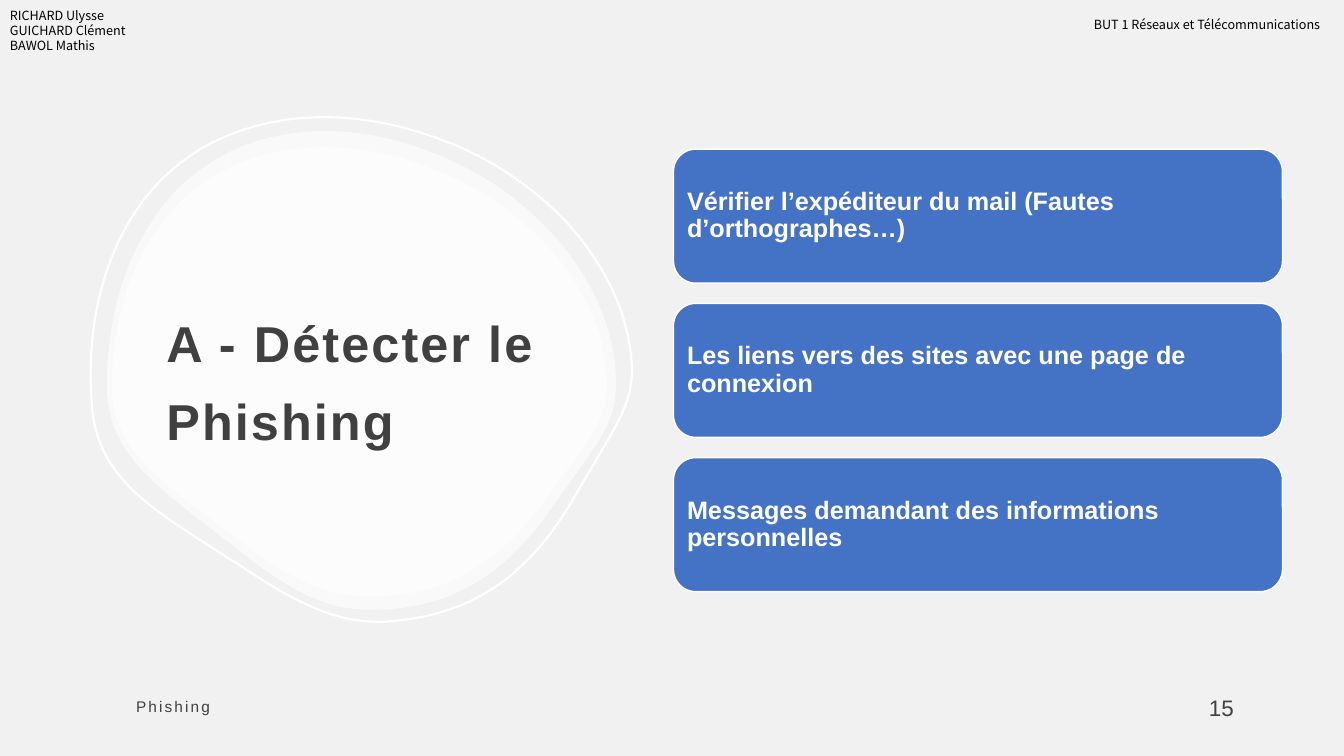
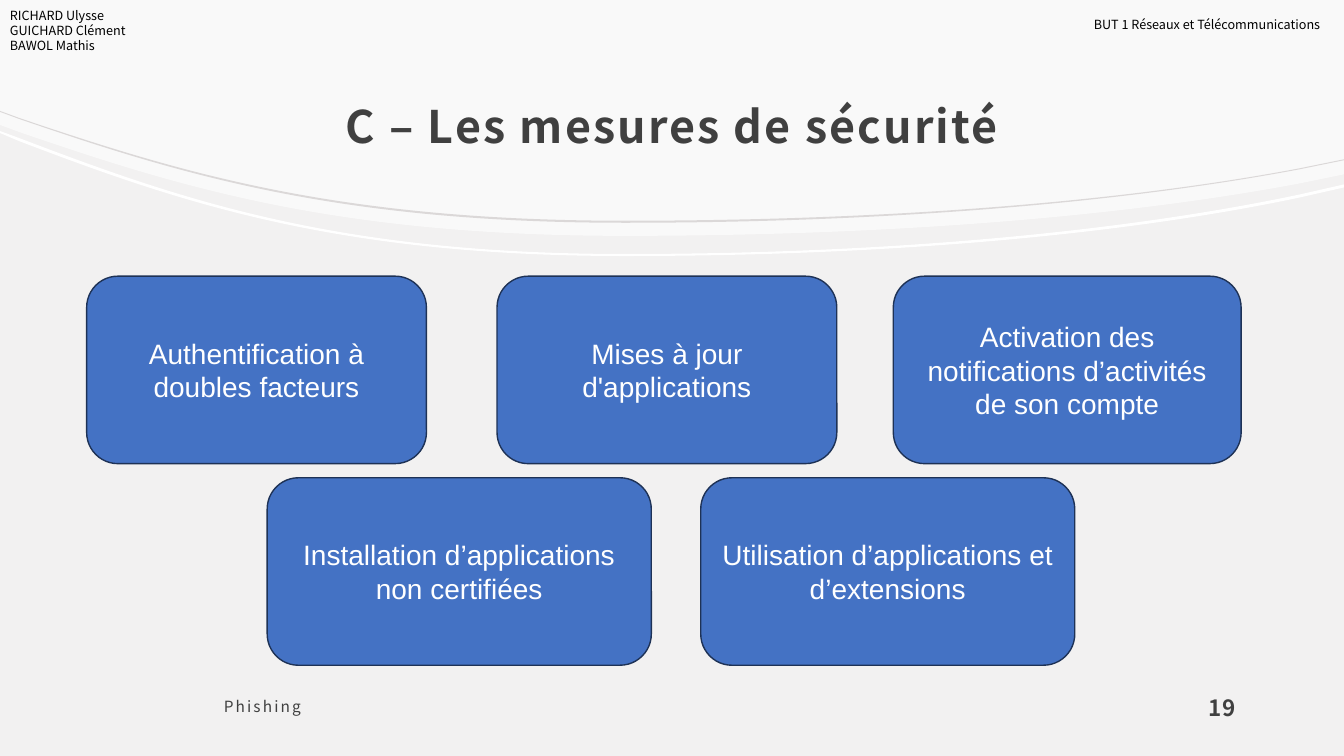
from lxml.etree import SubElement
from pptx import Presentation
from pptx.dml.color import RGBColor
from pptx.enum.shapes import MSO_SHAPE as Shape
from pptx.enum.text import MSO_ANCHOR as Anchor, PP_ALIGN as Align
from pptx.oxml.ns import qn
from pptx.util import Inches, Pt

WIDTH, HEIGHT = 13.33, 7.5
ARIAL, NOTO = "Arial", "Noto Sans CJK JP"
BACK, WHITE, BLACK, INK = "F2F1F1", "FFFFFF", "000000", "404040"
BLUE, NAVY, GREY = "4472C4", "1E3256", "DBD8D8"
INSETS = (0.12, 0.12, 0.12, 0.1)

AUTHORS = ["RICHARD Ulysse", "GUICHARD Clément", "BAWOL Mathis"]
COURSE = "BUT 1 Réseaux et Télécommunications"
FOOTER = "Phishing"

SIGNS = [
    "Vérifier l’expéditeur du mail (Fautes d’orthographes…)",
    "Les liens vers des sites avec une page de connexion",
    "Messages demandant des informations personnelles",
]
# row, left, width, text
MEASURES = [
    (0, 0.86, 3.37, "Authentification à doubles facteurs"),
    (0, 4.93, 3.37, "Mises à jour d'applications"),
    (0, 8.86, 3.45, "Activation des notifications d’activités de son compte"),
    (1, 2.65, 3.81, "Installation d’applications non certifiées"),
    (1, 6.95, 3.71, "Utilisation d’applications et d’extensions"),
]

# A start point, then two handles and an end point per curve
BLOB = [
    (3.22, 1.3), (2.89, 1.3), (2.58, 1.37), (2.31, 1.49),
    (2.06, 1.61), (1.83, 1.78), (1.65, 2), (1.27, 2.46), (1.06, 3.1), (1.06, 3.82),
    (1.06, 4.1), (1.14, 4.33), (1.32, 4.56), (1.51, 4.8), (1.8, 5.02), (2.1, 5.25),
    (2.15, 5.29), (2.21, 5.34), (2.27, 5.38), (2.78, 5.79), (3.16, 6.05), (3.67, 6.05),
    (4.45, 6.05), (5.01, 5.73), (5.52, 4.97), (5.59, 4.87), (5.66, 4.78), (5.72, 4.69),
    (5.98, 4.33), (6.11, 4.14), (6.11, 3.82), (6.11, 3.5), (6.03, 3.18), (5.87, 2.88),
    (5.72, 2.58), (5.5, 2.31), (5.22, 2.07), (4.95, 1.83), (4.62, 1.64), (4.28, 1.51),
    (3.93, 1.37), (3.57, 1.3), (3.22, 1.3),
]
BLOB_BOX = (1.06, 1.3, 5.05, 4.75)
INNER_BOX = (1.11, 1.46, 4.91, 4.46)
RING_BOX = (0.89, 1.13, 5.37, 5.05)

# Heights of a wave at its fixed stations, left to right
WAVE_X = (0, 0.19, 1.79, 3.33, 6.2, 8.75, 11.09, 12.89, WIDTH)
BAND = (1.24, 1.31, 1.86, 2.34, 2.34, 2.34, 2.16, 1.82, 1.73)
# colour, upper edge, lower edge
STRIPS = [
    (WHITE, (1.3, 1.37, 1.98, 2.52, 2.52, 2.52, 2.31, 1.93, 1.83),
     (1.32, 1.4, 2.01, 2.54, 2.54, 2.54, 2.34, 1.96, 1.86)),
    (GREY, (1.1, 1.17, 1.71, 2.19, 2.19, 2.19, 2.01, 1.67, 1.58),
     (1.11, 1.18, 1.73, 2.21, 2.21, 2.21, 2.02, 1.68, 1.59)),
]


def tint(hue):
    return RGBColor.from_string(hue)


def fit(box):
    """Move the blob from its own box to another."""
    left, top, wide, high = BLOB_BOX
    return [(box[0] + (x - left) / wide * box[2], box[1] + (y - top) / high * box[3])
            for x, y in BLOB]


def wave(heights):
    return list(zip(WAVE_X, heights))


def paint(shape, fill=None, line=None, weight=1, alpha=None):
    shape.shadow.inherit = False
    if fill:
        shape.fill.solid()
        shape.fill.fore_color.rgb = tint(fill)
        if alpha:
            hue = shape.fill._xPr.find(".//" + qn("a:srgbClr"))
            SubElement(hue, qn("a:alpha")).set("val", str(alpha * 1000))
    else:
        shape.fill.background()
    if line:
        shape.line.color.rgb = tint(line)
        shape.line.width = Pt(weight)
    else:
        shape.line.fill.background()


def draw(slide, nodes, bends, **look):
    """Draw a closed outline; the three nodes after each bend form one curve."""
    nodes = [(Inches(x), Inches(y)) for x, y in nodes]
    pen = slide.shapes.build_freeform(*nodes[0])
    pen.add_line_segments(nodes[1:], close=True)
    shape = pen.convert_to_shape()
    legs = list(shape._element.iter(qn("a:lnTo")))
    for bend in bends:
        curve, *rest = legs[bend:bend + 3]
        curve.tag = qn("a:cubicBezTo")
        for leg in rest:
            curve.append(leg[0])
            leg.getparent().remove(leg)
    paint(shape, **look)
    return shape


def write(shape, lines, size, font=ARIAL, hue=INK, bold=False, align=Align.LEFT,
          anchor=Anchor.MIDDLE, insets=None, leading=None, spread=None):
    frame = shape.text_frame
    frame.word_wrap = True
    frame.vertical_anchor = anchor
    if insets:
        (frame.margin_left, frame.margin_top,
         frame.margin_right, frame.margin_bottom) = map(Inches, insets)
    frame.text = "\n".join(lines)
    for para in frame.paragraphs:
        para.alignment = align
        if leading:
            para.line_spacing = leading
        face = para.font
        face.name, face.size, face.bold = font, Pt(size), bold
        face.color.rgb = tint(hue)
        if spread:
            for run in para.runs:
                run._r.get_or_add_rPr().set("spc", str(int(spread * 100)))


def label(slide, box, lines, size, **style):
    write(slide.shapes.add_textbox(*map(Inches, box)), lines, size, **style)


def card(slide, box, text, line, size, **style):
    shape = slide.shapes.add_shape(Shape.ROUNDED_RECTANGLE, *map(Inches, box))
    paint(shape, BLUE, line)
    write(shape, [text], size, hue=WHITE, **style)


def start(deck):
    slide = deck.slides.add_slide(deck.slide_layouts[6])
    slide.background.fill.solid()
    slide.background.fill.fore_color.rgb = tint(BACK)
    return slide


def dress(slide, title, box, size, font, align, number, left, strong):
    """Add the title, footer and header that every slide has."""
    label(slide, box, [title], size, font=font, bold=True, align=align,
          insets=INSETS, leading=1.3, spread=1.5)
    label(slide, (left, 6.75, 6.2, 0.5), [FOOTER], 11, font=font, insets=INSETS, spread=1.5)
    label(slide, (11.87, 6.75, 1.3, 0.5), [number], 16, font=font, bold=strong,
          anchor=Anchor.BOTTOM, insets=INSETS)
    head = dict(font=NOTO, hue=BLACK, anchor=Anchor.TOP)
    label(slide, (0, 0.03, 5.79, 0.56), AUTHORS, 9, **head)
    label(slide, (10.75, 0.12, WIDTH - 10.75, 0.25), [COURSE], 9, **head)


def detect(deck):
    slide = start(deck)
    bends = range(0, len(BLOB) - 1, 3)
    for box in (BLOB_BOX, INNER_BOX):
        draw(slide, fit(box), bends, fill=WHITE, alpha=60)
    ring = draw(slide, fit(RING_BOX), bends, line=WHITE, weight=1.5)
    ring.rotation = 355
    dress(slide, "A - Détecter le Phishing", (1.53, 2.08, 4.09, 3.21), 36, ARIAL,
          Align.LEFT, "15", 1.23, False)
    high, gap = 1.33, 0.2
    for row, text in enumerate(SIGNS):
        card(slide, (6.68, 1.48 + (high + gap) * row, 6.04, high), text, WHITE, 18,
             bold=True, leading=0.9, insets=(0.07,) * 4)


def secure(deck):
    slide = start(deck)
    draw(slide, [(WIDTH, 0), (0, 0)] + wave(BAND), (3, 6), fill=WHITE, alpha=60)
    for hue, upper, lower in STRIPS:
        draw(slide, wave(upper) + wave(lower)[::-1], (1, 4, 10, 13), fill=hue)
    dress(slide, "C – Les mesures de sécurité", (1.33, 0.59, 10.67, 1.14), 32, NOTO,
          Align.CENTER, "19", 2.1, True)
    for row, left, wide, text in MEASURES:
        card(slide, (left, 2.74 + 2 * row, wide, 1.86), text, NAVY, 20, align=Align.CENTER)


def main():
    deck = Presentation()
    deck.slide_width, deck.slide_height = Inches(WIDTH), Inches(HEIGHT)
    detect(deck)
    secure(deck)
    deck.save("out.pptx")


if __name__ == "__main__":
    main()
